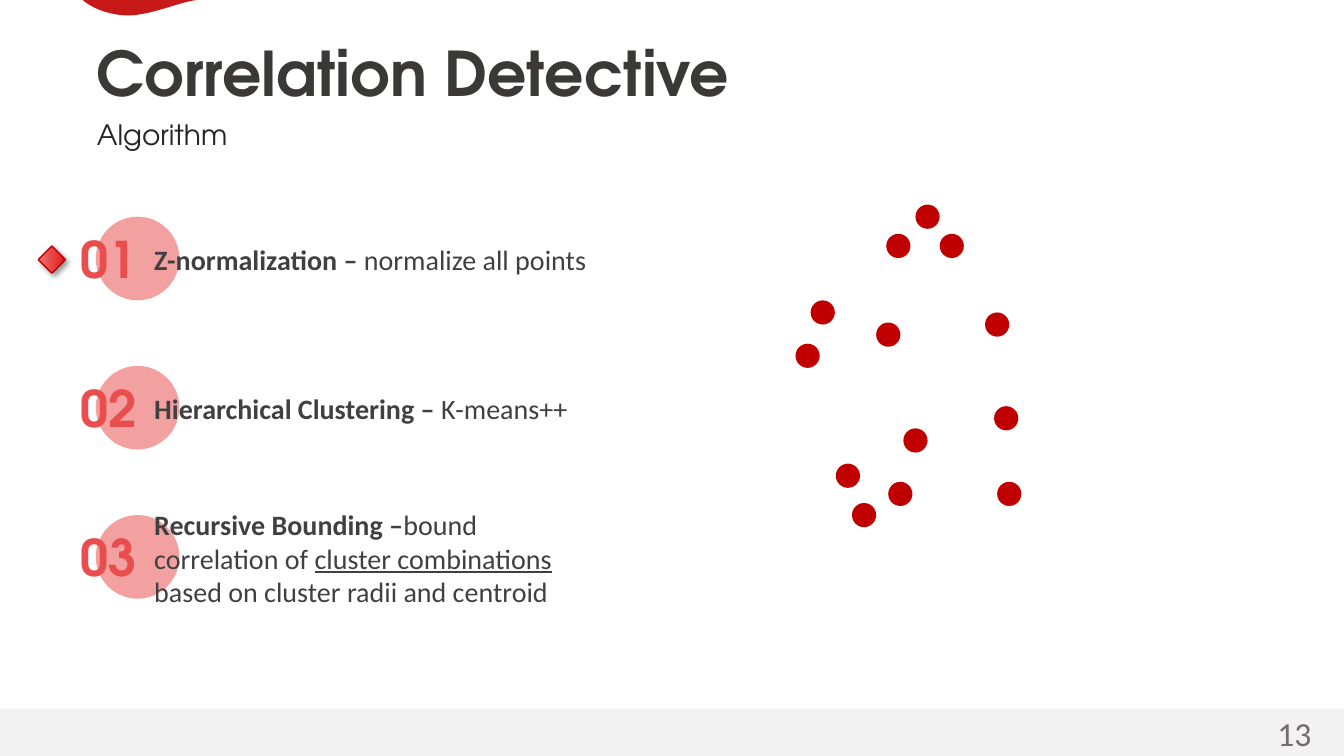
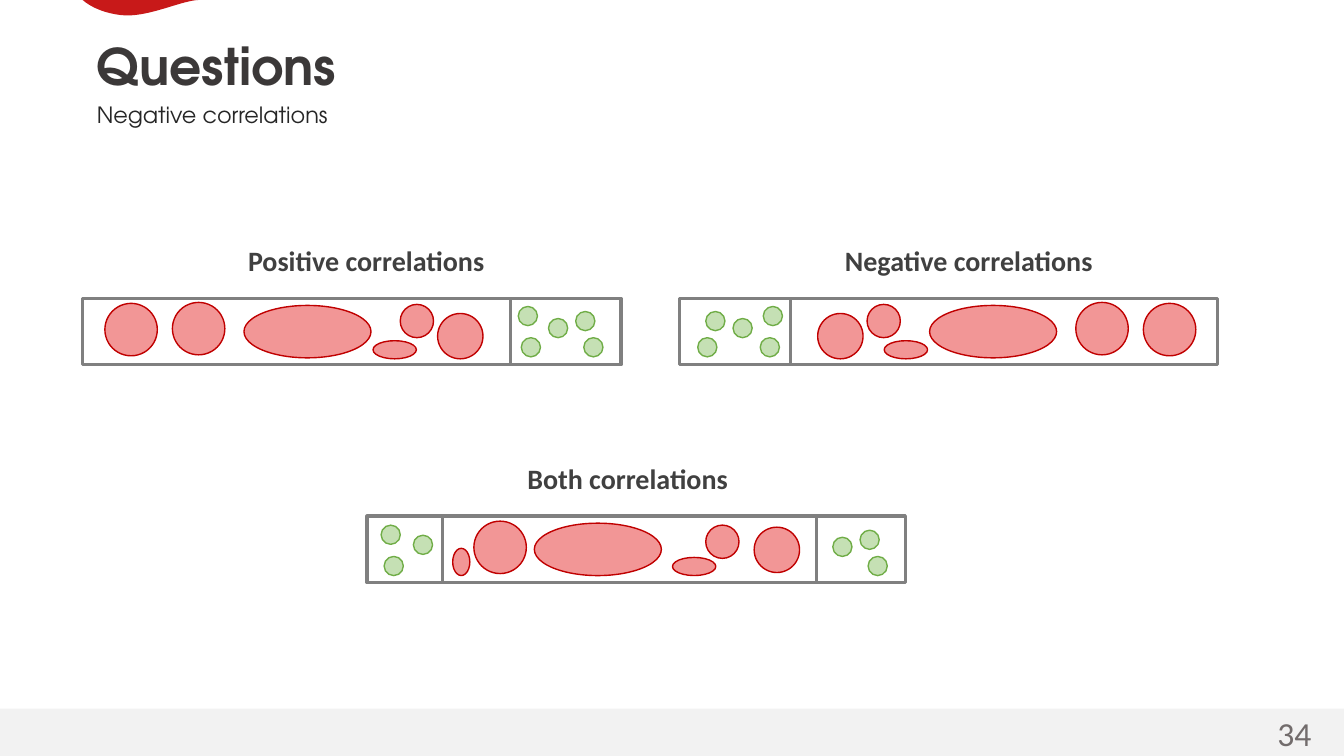
"""Build two slides on a correlation search algorithm."""
from dataclasses import dataclass, replace
from typing import NamedTuple

from pptx import Presentation
from pptx.dml.color import RGBColor
from pptx.enum.shapes import MSO_CONNECTOR as Link, MSO_SHAPE as Form
from pptx.enum.text import MSO_ANCHOR as Anchor, MSO_AUTO_SIZE as Fit, PP_ALIGN as Align
from pptx.oxml import parse_xml
from pptx.oxml.ns import nsdecls, qn
from pptx.oxml.xmlchemy import OxmlElement as make
from pptx.util import Inches, Pt

RED = RGBColor(0xC0, 0x00, 0x00)
ROSE = RGBColor(0xF2, 0x96, 0x96)
CORAL = RGBColor(0xE9, 0x4D, 0x4D)
WAVE = RGBColor(0xC8, 0x19, 0x19)
MINT = RGBColor(0xC5, 0xE0, 0xB4)
GREEN = RGBColor(0x70, 0xAD, 0x47)
WHITE = RGBColor(0xFF, 0xFF, 0xFF)
PALE = RGBColor(0xF2, 0xF2, 0xF2)
GRAY = RGBColor(0x80, 0x80, 0x80)
TITLE = RGBColor(0x3B, 0x38, 0x38)
DARK = RGBColor(0x26, 0x26, 0x26)
TEXT = RGBColor(0x40, 0x40, 0x40)
PAGE = RGBColor(0x72, 0x6C, 0x6C)
HEAD, BODY = "TeX Gyre Adventor", "Calibri"
WIDE, TALL = 13.33, 7.5
BAR_W, BAR_H = 5.34, 0.66
DOT, SEED = 0.24, 0.19


class Run(NamedTuple):
    """A piece of text with its emphasis."""
    text: str
    bold: bool = False
    line: bool = False


class Oval(NamedTuple):
    """An ellipse placed relative to its bar."""
    x: float
    y: float
    w: float = SEED
    h: float = SEED


@dataclass(frozen=True)
class Bar:
    """A labelled strip of clusters."""
    name: str
    x: float
    y: float
    shift: float
    cuts: tuple[float, ...]
    seeds: tuple[Oval, ...]
    blobs: tuple[Oval, ...]

    def mirror(self, name: str, x: float) -> "Bar":
        """Return the bar flipped left to right."""
        def flip(ovals: tuple[Oval, ...]) -> tuple[Oval, ...]:
            return tuple(o._replace(x=BAR_W - o.x - o.w) for o in ovals)
        return replace(self, name=name, x=x, cuts=tuple(BAR_W - c for c in self.cuts),
                       seeds=flip(self.seeds), blobs=flip(self.blobs))


STEPS = (
    ((Run("Z-normalization – ", True), Run("normalize all points")),),
    ((Run("Hierarchical Clustering – ", True), Run("K-means++")),),
    ((Run("Recursive Bounding –", True), Run("bound")),
     (Run("correlation of "), Run("cluster combinations", line=True)),
     (Run("based on cluster radii and centroid"),)),
)
DOTS = ((9.08, 2.03), (8.79, 2.32), (9.32, 2.32), (8.04, 2.98), (7.89, 3.41),
        (8.69, 3.2), (9.86, 4.03), (9.77, 3.1), (8.96, 4.25), (8.29, 4.6),
        (8.81, 4.78), (8.45, 4.99), (9.89, 4.78))
PLUS = Bar(
    "Positive correlations", 0.82, 2.96, 1.64, (4.24,),
    (Oval(4.32, 0.08), Oval(4.62, 0.2), Oval(4.89, 0.13), Oval(4.97, 0.39), Oval(4.35, 0.39)),
    (Oval(0.22, 0.05, 0.52, 0.52), Oval(0.89, 0.04, 0.52, 0.52), Oval(1.6, 0.07, 1.26, 0.52),
     Oval(2.88, 0.42, 0.43, 0.18), Oval(3.15, 0.06, 0.33, 0.33), Oval(3.52, 0.15, 0.45, 0.45)))
BOTH = Bar(
    "Both correlations", 3.64, 5.12, 1.59, (0.75, 4.46),
    (Oval(0.14, 0.09), Oval(4.62, 0.21), Oval(4.89, 0.14), Oval(4.97, 0.4),
     Oval(0.17, 0.4), Oval(0.46, 0.19)),
    (Oval(1.06, 0.05, 0.52, 0.52), Oval(1.66, 0.07, 1.26, 0.52), Oval(3.03, 0.41, 0.43, 0.18),
     Oval(3.36, 0.09, 0.33, 0.33), Oval(3.84, 0.11, 0.45, 0.45), Oval(0.85, 0.32, 0.17, 0.27)))
BARS = (PLUS, PLUS.mirror("Negative correlations", 6.74), BOTH)
CURVES = (((0.82, 0), (0.82, 0), (0.94, 0.12), (1.2, 0.15)),
          ((1.2, 0.15), (1.46, 0.18), (1.78, 0.01), (1.97, 0)))


def put(box, rows, *, size: float, color: RGBColor, face: str = BODY,
        bold: bool = False, anchor=Anchor.TOP) -> None:
    """Fill a box with a string or with rows of runs."""
    rows = ((Run(rows, bold),),) if isinstance(rows, str) else rows
    frame = box.text_frame
    frame.word_wrap, frame.auto_size, frame.vertical_anchor = True, Fit.NONE, anchor
    frame.margin_left = frame.margin_right = frame.margin_top = frame.margin_bottom = 0
    for i, row in enumerate(rows):
        para = frame.add_paragraph() if i else frame.paragraphs[0]
        para.alignment, para.space_before = Align.LEFT, Pt(0)
        for part in row:
            run = para.add_run()
            run.text = part.text
            font = run.font
            font.name, font.size, font.bold = face, Pt(size), part.bold
            font.underline = part.line
            font.color.rgb = color


def label(shapes, x: float, y: float, w: float, h: float, rows, **form) -> None:
    """Add a text box."""
    put(shapes.add_textbox(Inches(x), Inches(y), Inches(w), Inches(h)), rows, **form)


def paint(shape, fill: RGBColor, line: RGBColor | None = None, width: float = 1) -> None:
    """Set fill and outline without a shadow."""
    shape.shadow.inherit = False
    shape.fill.solid()
    shape.fill.fore_color.rgb = fill
    if line is None:
        shape.line.fill.background()
    else:
        shape.line.color.rgb = line
        shape.line.width = Pt(width)


def draw(shapes, form, x: float, y: float, w: float, h: float, fill: RGBColor,
         line: RGBColor | None = None, width: float = 1):
    """Add a painted preset shape."""
    shape = shapes.add_shape(form, Inches(x), Inches(y), Inches(w), Inches(h))
    paint(shape, fill, line, width)
    return shape


def bend(curve, count: int = 24) -> list[tuple[int, int]]:
    """Sample a cubic curve after its start."""
    def mix(a: float, b: float, c: float, d: float, t: float) -> int:
        u = 1 - t
        return Inches(a * u**3 + 3 * b * u * u * t + 3 * c * u * t * t + d * t**3)
    return [tuple(mix(*axis, i / count) for axis in zip(*curve)) for i in range(1, count + 1)]


def dress(slide) -> None:
    """Put the band and the wave on the slide's layout."""
    band = draw(slide.shapes, Form.RECTANGLE, 0, 7.03, WIDE, 0.47, PALE)
    pen = slide.shapes.build_freeform(Inches(0.82), 0)
    pen.add_line_segments([spot for curve in CURVES for spot in bend(curve)], close=True)
    wave = pen.convert_to_shape()
    paint(wave, WAVE)
    for key, shape in enumerate((band, wave), 20):
        shape.element.nvSpPr.cNvPr.id = key
        slide.slide_layout.shapes.element.append(shape.element)


def start(deck, title: str, sub: str, page: str, *, size: float, low: float, small: float):
    """Add a slide with title, subtitle and page number."""
    slide = deck.slides.add_slide(deck.slide_layouts[0])
    head, body = slide.placeholders
    for box, y, h in ((head, 0.35, 0.74), (body, low, 0.34)):
        box.left, box.top, box.width, box.height = map(Inches, (0.96, y, 11.4, h))
    put(head, title, size=size, color=TITLE, face=HEAD, bold=True)
    put(body, sub, size=small, color=DARK, face=HEAD)
    label(slide.shapes, 12.67, 7.07, 0.63, 0.4, page, size=24, color=PAGE)
    return slide


def step(slide, i: int, rows) -> None:
    """Draw a numbered step."""
    y = 2.15 + 1.48 * i
    group = slide.shapes.add_group_shape().shapes
    disc = draw(group, Form.OVAL, 0.95, y, 0.83, 0.83, CORAL)
    alpha = make("a:alpha")
    alpha.set("val", "53000")
    disc.element.spPr.find(qn("a:solidFill"))[0].append(alpha)
    label(group, 0.8, y + 0.11, 0.9, 0.61, f"{i + 1:02}",
          size=36, color=CORAL, face=HEAD, bold=True)
    label(group, 1.53, y - 0.08, 4.64, 1.01, rows, size=20, color=TEXT, anchor=Anchor.MIDDLE)


def mark(slide) -> None:
    """Draw the shaded diamond beside the current step."""
    gem = draw(slide.shapes, Form.DIAMOND, 0.38, 2.44, 0.27, 0.27, RED, RED)
    spots = "".join(f'<a:gs pos="{at}000"><a:srgbClr val="{tone}"/></a:gs>'
                    for at, tone in ((0, "ED7373"), (83, "E42828"), (100, RED)))
    props = gem.element.spPr
    props.replace(props.find(qn("a:solidFill")), parse_xml(
        f'<a:gradFill {nsdecls("a")}><a:gsLst>{spots}</a:gsLst><a:lin ang="0"/></a:gradFill>'))
    props.find(qn("a:effectLst")).append(parse_xml(
        f'<a:outerShdw {nsdecls("a")} blurRad="{Pt(4)}" dist="{Pt(3)}" dir="2700000">'
        '<a:srgbClr val="000000"><a:alpha val="40000"/></a:srgbClr></a:outerShdw>'))


def strip(slide, bar: Bar) -> None:
    """Draw a bar with its label, dividers and clusters."""
    label(slide.shapes, bar.x + bar.shift, bar.y - 0.54, 2.92, 0.34, bar.name,
          size=20, color=TEXT, bold=True)
    group = slide.shapes.add_group_shape().shapes
    draw(group, Form.RECTANGLE, bar.x, bar.y, BAR_W, BAR_H, WHITE, GRAY, 2.25)
    for cut in bar.cuts:
        x = Inches(bar.x + cut)
        rule = group.add_connector(Link.STRAIGHT, x, Inches(bar.y), x, Inches(bar.y + BAR_H))
        rule.line.color.rgb = GRAY
        rule.line.width = Pt(2.25)
        rule.element.spPr.append(make("a:effectLst"))
    for ovals, fill, line in ((bar.seeds, MINT, GREEN), (bar.blobs, ROSE, RED)):
        for o in ovals:
            draw(group, Form.OVAL, bar.x + o.x, bar.y + o.y, o.w, o.h, fill, line)


def main() -> None:
    """Build and save the deck."""
    deck = Presentation()
    deck.slide_width, deck.slide_height = Inches(WIDE), Inches(TALL)

    slide = start(deck, "Correlation Detective", "Algorithm", "13", size=44, low=1.17, small=20)
    dress(slide)
    for x, y in DOTS:
        draw(slide.shapes, Form.OVAL, x, y, DOT, DOT, RED)
    for i, rows in enumerate(STEPS):
        step(slide, i, rows)
    mark(slide)

    slide = start(deck, "Questions", "Negative correlations", "34", size=36, low=1, small=16)
    for bar in BARS:
        strip(slide, bar)

    deck.save("out.pptx")


if __name__ == "__main__":
    main()
